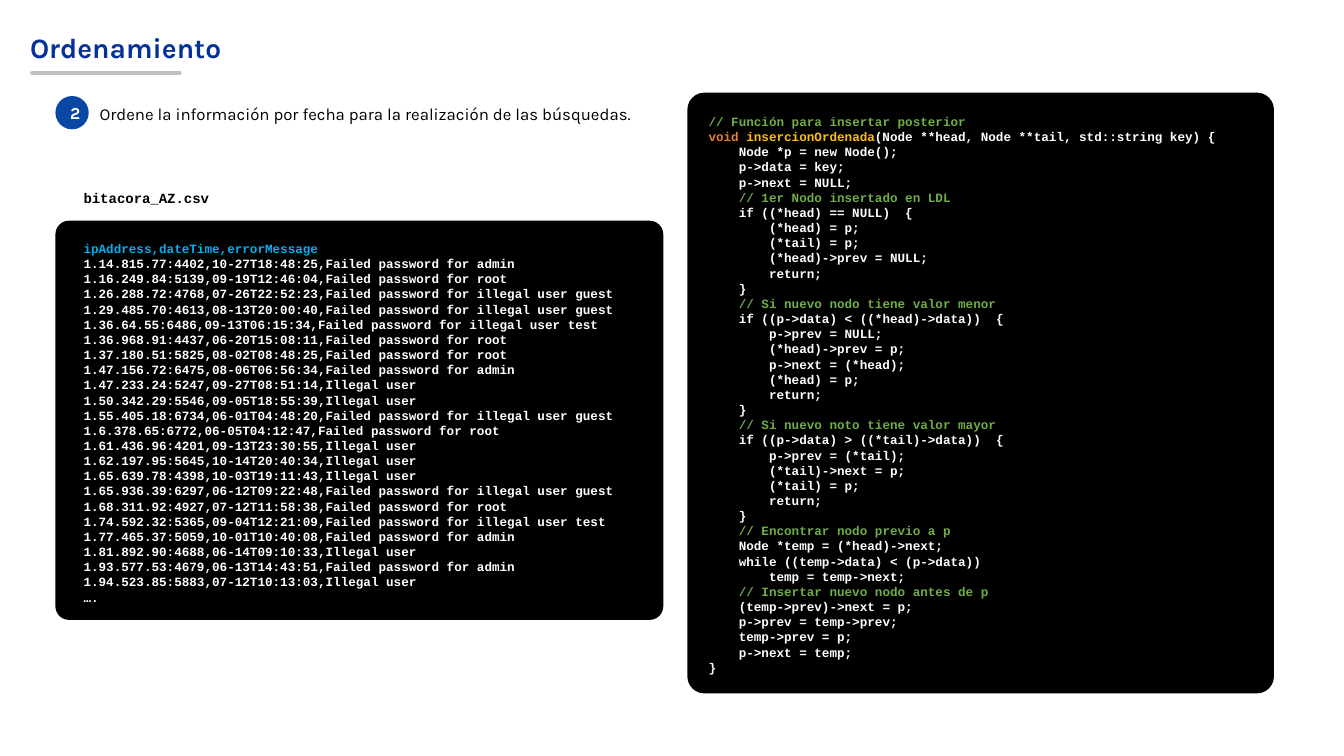
from pptx import Presentation
from pptx.dml.color import RGBColor
from pptx.enum.shapes import MSO_CONNECTOR, MSO_SHAPE
from pptx.enum.text import MSO_ANCHOR, PP_ALIGN
from pptx.oxml.ns import qn
from pptx.util import Pt
from lxml import etree

STRAIGHT = MSO_CONNECTOR.STRAIGHT
ROUNDED, OVAL = MSO_SHAPE.ROUNDED_RECTANGLE, MSO_SHAPE.OVAL
MIDDLE, TOP = MSO_ANCHOR.MIDDLE, MSO_ANCHOR.TOP
CENTER, LEFT = PP_ALIGN.CENTER, PP_ALIGN.LEFT

BLACK = RGBColor(0x00, 0x00, 0x00)
WHITE = RGBColor(0xFF, 0xFF, 0xFF)
NAVY = RGBColor(0x03, 0x31, 0x9A)
BLUE = RGBColor(0x08, 0x47, 0xA6)
GRAY = RGBColor(0xBF, 0xBF, 0xBF)
GREEN = RGBColor(0x70, 0xAD, 0x47)
ORANGE = RGBColor(0xED, 0x7D, 0x31)
GOLD = RGBColor(0xFF, 0xC0, 0x00)
CYAN = RGBColor(0x00, 0xB0, 0xF0)

TITLE = {"name": "Karla", "size": Pt(20), "bold": True}
BODY = {"name": "Karla", "size": Pt(12)}
BADGE = {"name": "Karla", "size": Pt(12), "bold": True}
FILE_NAME = {"name": "Courier New", "size": Pt(10), "bold": True}
CODE = {"name": "Courier New", "size": Pt(9), "bold": True}
INDENT_STEP = Pt(21.6)  # four characters of 9 pt Courier New

LOG_HEADER = "ipAddress,dateTime,errorMessage"
LOG_ROWS = [
    "1.14.815.77:4402,10-27T18:48:25,Failed password for admin",
    "1.16.249.84:5139,09-19T12:46:04,Failed password for root",
    "1.26.288.72:4768,07-26T22:52:23,Failed password for illegal user guest",
    "1.29.485.70:4613,08-13T20:00:40,Failed password for illegal user guest",
    "1.36.64.55:6486,09-13T06:15:34,Failed password for illegal user test",
    "1.36.968.91:4437,06-20T15:08:11,Failed password for root",
    "1.37.180.51:5825,08-02T08:48:25,Failed password for root",
    "1.47.156.72:6475,08-06T06:56:34,Failed password for admin",
    "1.47.233.24:5247,09-27T08:51:14,Illegal user",
    "1.50.342.29:5546,09-05T18:55:39,Illegal user",
    "1.55.405.18:6734,06-01T04:48:20,Failed password for illegal user guest",
    "1.6.378.65:6772,06-05T04:12:47,Failed password for root",
    "1.61.436.96:4201,09-13T23:30:55,Illegal user",
    "1.62.197.95:5645,10-14T20:40:34,Illegal user",
    "1.65.639.78:4398,10-03T19:11:43,Illegal user",
    "1.65.936.39:6297,06-12T09:22:48,Failed password for illegal user guest",
    "1.68.311.92:4927,07-12T11:58:38,Failed password for root",
    "1.74.592.32:5365,09-04T12:21:09,Failed password for illegal user test",
    "1.77.465.37:5059,10-01T10:40:08,Failed password for admin",
    "1.81.892.90:4688,06-14T09:10:33,Illegal user",
    "1.93.577.53:4679,06-13T14:43:51,Failed password for admin",
    "1.94.523.85:5883,07-12T10:13:03,Illegal user",
    "….",
]

SIGNATURE = [("void ", ORANGE), ("insercionOrdenada", GOLD),
             ("(Node **head, Node **tail, std::string key) {", WHITE)]
# Indent level and text of each line after the signature
FUNCTION_BODY = [
    (1, "Node *p = new Node();"),
    (1, "p->data = key;"),
    (1, "p->next = NULL;"),
    (1, "// 1er Nodo insertado en LDL"),
    (1, "if ((*head) == NULL)  {"),
    (2, "(*head) = p;"),
    (2, "(*tail) = p;"),
    (2, "(*head)->prev = NULL;"),
    (2, "return;"),
    (1, "}"),
    (1, "// Si nuevo nodo tiene valor menor"),
    (1, "if ((p->data) < ((*head)->data))  {"),
    (2, "p->prev = NULL;"),
    (2, "(*head)->prev = p;"),
    (2, "p->next = (*head);"),
    (2, "(*head) = p;"),
    (2, "return;"),
    (1, "}"),
    (1, "// Si nuevo noto tiene valor mayor"),
    (1, "if ((p->data) > ((*tail)->data))  {"),
    (2, "p->prev = (*tail);"),
    (2, "(*tail)->next = p;"),
    (2, "(*tail) = p;"),
    (2, "return;"),
    (1, "}"),
    (1, "// Encontrar nodo previo a p"),
    (1, "Node *temp = (*head)->next;"),
    (1, "while ((temp->data) < (p->data))"),
    (2, "temp = temp->next;"),
    (1, "// Insertar nuevo nodo antes de p"),
    (1, "(temp->prev)->next = p;"),
    (1, "p->prev = temp->prev;"),
    (1, "temp->prev = p;"),
    (1, "p->next = temp;"),
    (0, "}"),
]


def write_lines(frame, lines, font, align=LEFT):
    """Each line is an indent level and a list of (text, colour) runs."""
    for number, (level, runs) in enumerate(lines):
        paragraph = frame.paragraphs[0] if number == 0 else frame.add_paragraph()
        paragraph.alignment = align
        if level:
            paragraph._p.get_or_add_pPr().set("marL", str(level * INDENT_STEP))
        for text, color in runs:
            run = paragraph.add_run()
            run.text = text
            for attribute, value in font.items():
                setattr(run.font, attribute, value)
            run.font.color.rgb = color


def add_text(slide, box, lines, font, anchor=TOP):
    frame = slide.shapes.add_textbox(*map(Pt, box)).text_frame
    frame.word_wrap = True
    frame.vertical_anchor = anchor
    write_lines(frame, lines, font)
    return frame


def add_filled(slide, kind, box, color):
    shape = slide.shapes.add_shape(kind, *map(Pt, box))
    shape.shadow.inherit = False
    shape.fill.solid()
    shape.fill.fore_color.rgb = color
    shape.line.fill.background()
    return shape


def add_panel(slide, box, rounding):
    add_filled(slide, ROUNDED, box, BLACK).adjustments[0] = rounding


def add_rule(slide, left, right, y):
    rule = slide.shapes.add_connector(STRAIGHT, Pt(left), Pt(y), Pt(right), Pt(y))
    rule.line.color.rgb = GRAY
    rule.line.width = Pt(3)
    rule.line._get_or_add_ln().set("cap", "rnd")
    etree.SubElement(rule._element.spPr, qn("a:effectLst"))


def code_line(level, text):
    return level, [(text, GREEN if text.startswith("//") else WHITE)]


def main():
    prs = Presentation()
    prs.slide_width, prs.slide_height = Pt(960), Pt(540)
    slide = prs.slides.add_slide(prs.slide_layouts[6])

    # Title and its rule
    title = add_text(slide, (14.4, 12.24, 257, 43.2),
                     [(0, [("Ordenamiento", NAVY)])], TITLE, MIDDLE)
    title.margin_top = title.margin_bottom = Pt(7.2)
    add_rule(slide, 23, 128.2, 52.2)

    # Numbered step
    step = "Ordene la información por fecha para la realización de las búsquedas."
    add_text(slide, (64, 70.6, 396.7, 21.6), [(0, [(step, BLACK)])], BODY)
    badge = add_filled(slide, OVAL, (39.6, 68.6, 23.8, 23.8), BLUE)
    badge.text_frame.vertical_anchor = MIDDLE
    write_lines(badge.text_frame, [(0, [("2", WHITE)])], BADGE, CENTER)

    # Log file
    add_text(slide, (52.6, 131.8, 407.5, 19.4),
             [(0, [("bitacora_AZ.csv", BLACK)])], FILE_NAME)
    add_panel(slide, (39.6, 157.7, 434.2, 285.1), 0.034)
    log = [(0, [(LOG_HEADER, CYAN)])] + [(0, [(row, WHITE)]) for row in LOG_ROWS]
    add_text(slide, (52.6, 168.5, 407.5, 280), log, CODE)

    # Ordered insertion function
    add_panel(slide, (491, 66.2, 419, 429.1), 0.029)
    function = [code_line(0, "// Función para insertar posterior"), (0, SIGNATURE)]
    function += [code_line(level, text) for level, text in FUNCTION_BODY]
    add_text(slide, (499, 77.8, 406, 411.1), function, CODE)

    prs.save("out.pptx")


if __name__ == "__main__":
    main()
